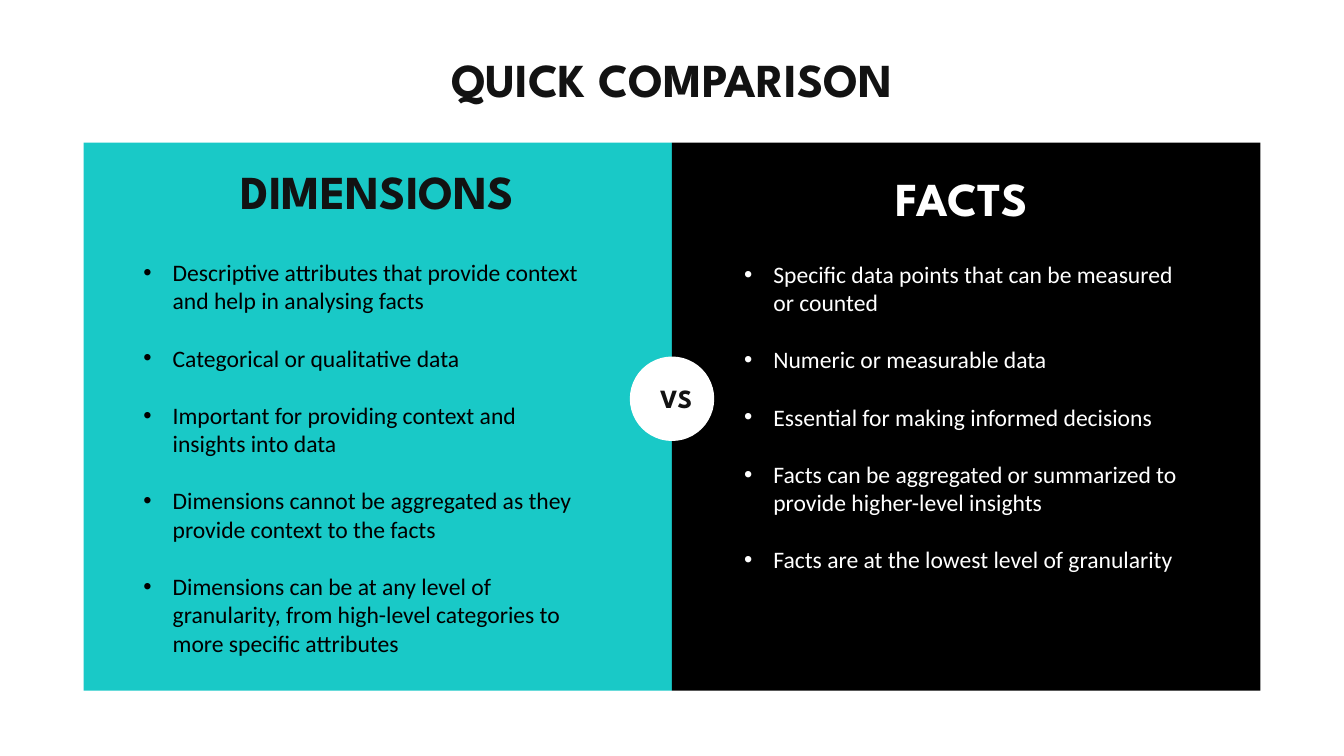
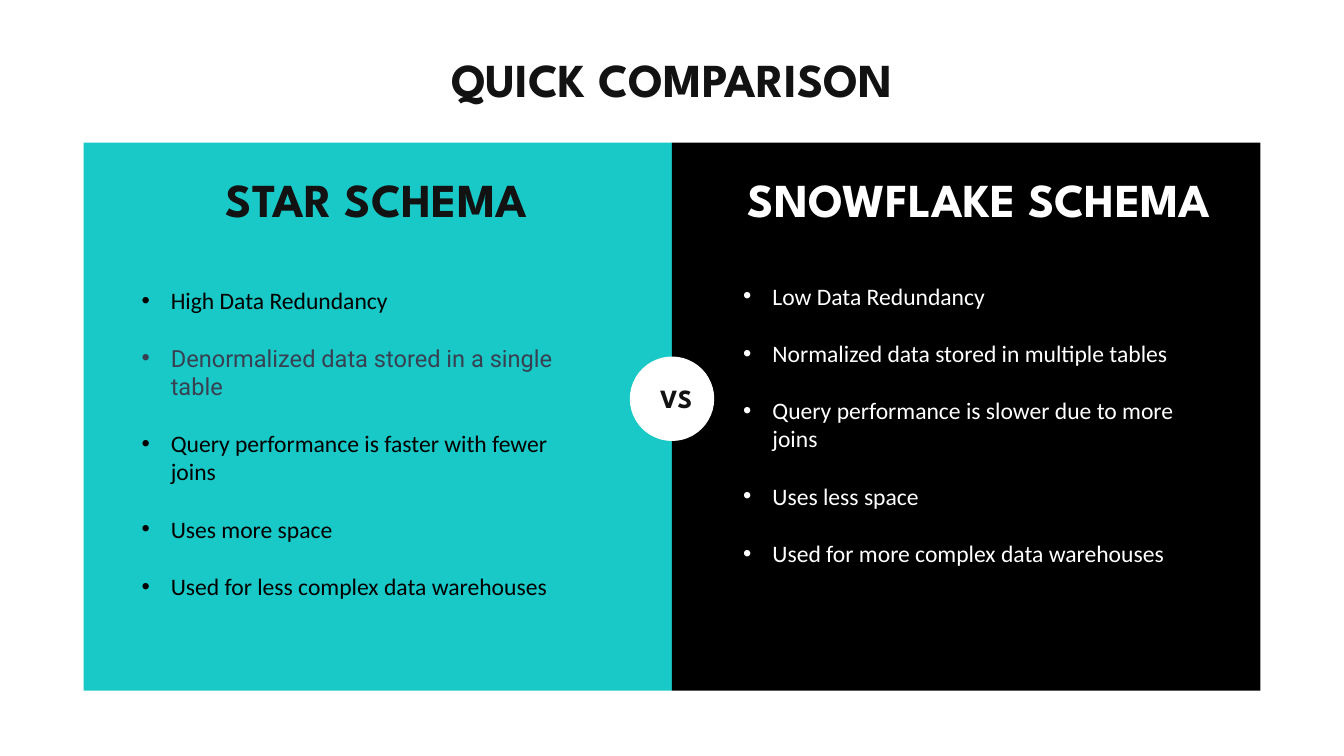
from lxml import etree
from pptx import Presentation
from pptx import util as u
from pptx.dml.color import RGBColor
from pptx.enum import shapes, text
from pptx.oxml.ns import qn

TEAL, BLACK, WHITE, INK, SLATE = "19C9C7", "000000", "FFFFFF", "121212", "374151"
DISPLAY, BODY = "League Spartan", "Calibri"
TITLE = "QUICK COMPARISON"
SLIDE_W, SLIDE_H = 14.23, 8
PANEL_W, PANEL_H, PANEL_TOP = 6.23, 5.8, 1.51
MIDDLE = SLIDE_W / 2
BADGE, BADGE_TOP = 0.88, 3.78
POINTS_W, INDENT, GAP = 4.95, 0.31, 22

SIDES = [
    {"panel": TEAL, "heading": INK, "points": BLACK},
    {"panel": BLACK, "heading": WHITE, "points": WHITE},
]

COMPARISONS = [
    [
        {
            "heading": "DIMENSIONS",
            "heading_at": (2.28, 1.67, 3.44, 0.71),
            "points_at": (1.42, 2.68, POINTS_W, 4.34),
            "points": [
                "Descriptive attributes that provide context and help in analysing facts",
                "Categorical or qualitative data",
                "Important for providing context and insights into data",
                "Dimensions cannot be aggregated as they provide context to the facts",
                "Dimensions can be at any level of granularity, from high-level categories to more specific attributes",
            ],
        },
        {
            "heading": "FACTS",
            "heading_at": (9.03, 1.74, 2.31, 0.71),
            "points_at": (7.78, 2.7, POINTS_W, 4.04),
            "points": [
                "Specific data points that can be measured or counted",
                "Numeric or measurable data",
                "Essential for making informed decisions",
                "Facts can be aggregated or summarized to provide higher-level insights",
                "Facts are at the lowest level of granularity",
            ],
        },
    ],
    [
        {
            "heading": "STAR SCHEMA",
            "heading_at": (2.27, 1.75, 3.44, 0.71),
            "points_at": (1.4, 2.98, POINTS_W, 3.13),
            "points": [
                "High Data Redundancy",
                "Denormalized data stored in a single table",
                "Query performance is faster with fewer joins",
                "Uses more space",
                "Used for less complex data warehouses",
            ],
            "accents": {1: ("Roboto", SLATE)},
        },
        {
            "heading": "SNOWFLAKE SCHEMA",
            "heading_at": (7.77, 1.75, 5.2, 0.71),
            "points_at": (7.77, 2.93, POINTS_W, 3.43),
            "points": [
                "Low Data Redundancy",
                "Normalized data stored in multiple tables",
                "Query performance is slower due to more joins",
                "Uses less space",
                "Used for more complex data warehouses",
            ],
        },
    ],
]


def rgb(value):
    return RGBColor.from_string(value)


def inches(at):
    return [u.Inches(length) for length in at]


def apply(target, formats):
    for name, value in formats.items():
        setattr(target, name, value)


def style(run, font, size, color, bold=False):
    apply(run.font, {"name": font, "size": u.Pt(size), "bold": bold})
    run.font.color.rgb = rgb(color)


def add_block(slide, kind, at, color):
    block = slide.shapes.add_shape(kind, *inches(at))
    block.shadow.inherit = False
    block.fill.solid()
    block.fill.fore_color.rgb = rgb(color)
    block.line.fill.background()
    return block


def add_frame(slide, at, anchor=text.MSO_ANCHOR.TOP):
    frame = slide.shapes.add_textbox(*inches(at)).text_frame
    apply(frame, {"word_wrap": True, "vertical_anchor": anchor})
    return frame


def add_label(slide, words, at, size, color, align, **frame_options):
    paragraph = add_frame(slide, at, **frame_options).paragraphs[0]
    paragraph.alignment = align
    run = paragraph.add_run()
    run.text = words
    style(run, DISPLAY, size, color, bold=True)
    return paragraph


def add_points(slide, points, at, color, accents):
    frame = add_frame(slide, at)
    for i, point in enumerate(points):
        paragraph = frame.add_paragraph() if i else frame.paragraphs[0]
        if i:
            paragraph.space_before = u.Pt(GAP)
        properties = paragraph._p.get_or_add_pPr()
        properties.set("marL", str(u.Inches(INDENT)))
        properties.set("indent", str(-u.Inches(INDENT)))
        etree.SubElement(properties, qn("a:buFont")).set("typeface", "Arial")
        etree.SubElement(properties, qn("a:buChar")).set("char", "•")
        run = paragraph.add_run()
        run.text = point
        font, ink = accents.get(i, (BODY, color))
        style(run, font, 18, ink)


def add_base(slide):
    for i, side in enumerate(SIDES):
        left = MIDDLE + (i - 1) * PANEL_W
        add_block(slide, shapes.MSO_SHAPE.RECTANGLE,
                  (left, PANEL_TOP, PANEL_W, PANEL_H), side["panel"])
    badge = add_block(slide, shapes.MSO_SHAPE.OVAL,
                      (MIDDLE - BADGE / 2, BADGE_TOP, BADGE, BADGE), WHITE)
    badge.line.color.rgb = rgb(WHITE)
    badge.line.width = u.Pt(1)
    add_label(slide, "VS", (6.89, 4, BADGE, 0.44), 20, INK, text.PP_ALIGN.LEFT)
    title = add_label(slide, TITLE, (0.98, 0.55, 12.27, 0.65), 36, INK,
                      text.PP_ALIGN.CENTER, anchor=text.MSO_ANCHOR.MIDDLE)
    title.line_spacing = 0.9


def main():
    deck = Presentation()
    apply(deck, {"slide_width": u.Inches(SLIDE_W), "slide_height": u.Inches(SLIDE_H)})
    for comparison in COMPARISONS:
        slide = deck.slides.add_slide(deck.slide_layouts[6])
        add_base(slide)
        for side, topic in zip(SIDES, comparison):
            add_label(slide, topic["heading"], topic["heading_at"], 36,
                      side["heading"], text.PP_ALIGN.CENTER)
            add_points(slide, topic["points"], topic["points_at"],
                       side["points"], topic.get("accents", {}))
    deck.save("out.pptx")


if __name__ == "__main__":
    main()
